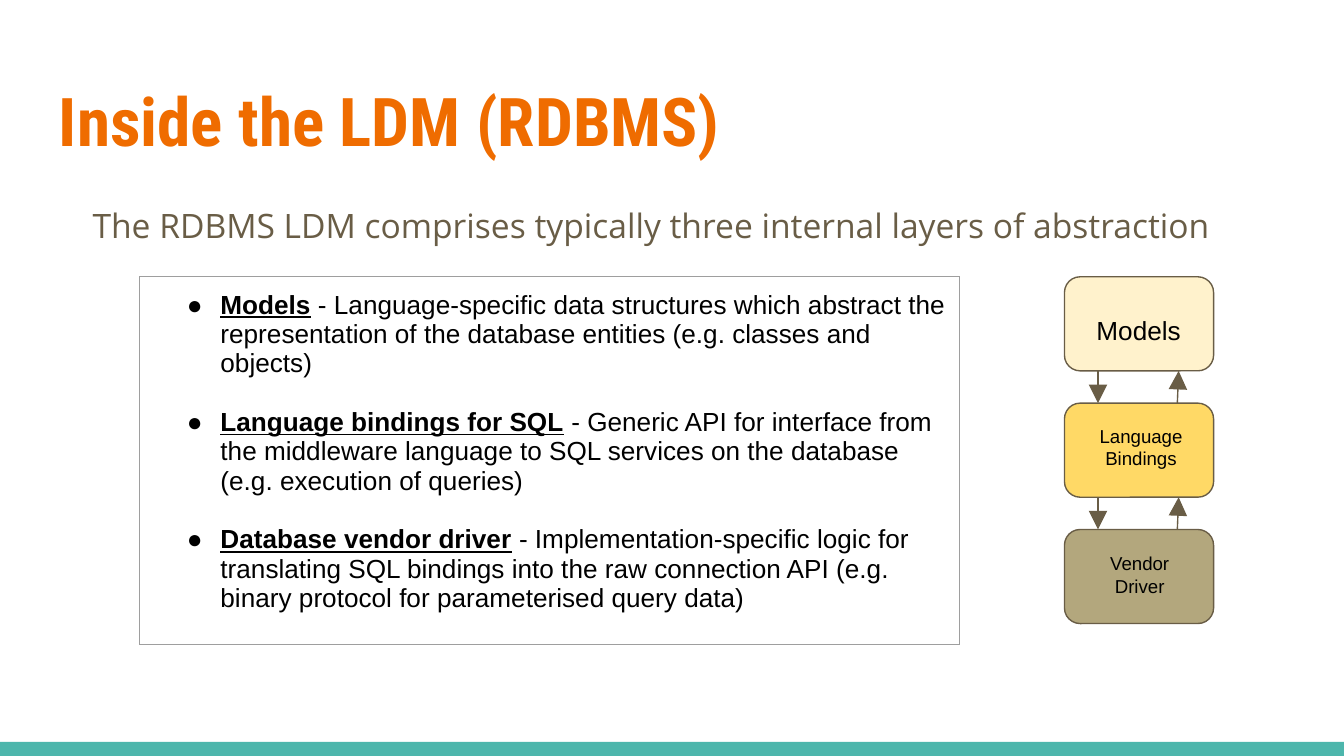
from lxml import etree
from pptx import Presentation
from pptx.dml.color import RGBColor
from pptx.enum import shapes, text
from pptx.oxml import ns
from pptx.util import Inches, Pt

ORANGE = RGBColor(0xEF, 0x6C, 0x00)
TEAL = RGBColor(0x4D, 0xB6, 0xAC)
BROWN = RGBColor(0x69, 0x5D, 0x46)
GREY = RGBColor(0x9E, 0x9E, 0x9E)
BLACK = RGBColor(0, 0, 0)
CREAM = RGBColor(0xFF, 0xF2, 0xCC)
YELLOW = RGBColor(0xFF, 0xD9, 0x66)
KHAKI = RGBColor(0xB3, 0xA7, 0x7D)

DEFINITIONS = [
    ("Models", " - Language-specific data structures which abstract the "
     "representation of the database entities (e.g. classes and objects)"),
    ("Language bindings for SQL", " - Generic API for interface from the middleware "
     "language to SQL services on the database (e.g. execution of queries)"),
    ("Database vendor driver", " - Implementation-specific logic for translating SQL "
     "bindings into the raw connection API (e.g. binary protocol for parameterised "
     "query data)"),
]
LAYERS = [
    ("Models", CREAM, 14, text.PP_ALIGN.LEFT, 8.06, 0.18, 0.34),
    ("Language Bindings", YELLOW, 10, text.PP_ALIGN.CENTER, 8.06, 0.06, 0.54),
    ("Vendor Driver", KHAKI, 10, text.PP_ALIGN.CENTER, 8.05, 0.07, 0.54),
]
LAYER_LEFT, LAYER_TOP, LAYER_WIDTH, LAYER_HEIGHT = 7.92, 2.06, 1.11, 0.7
LAYER_PITCH = 0.94


def child(parent, tag, **attributes):
    return etree.SubElement(parent, ns.qn(tag), attributes)


def style_run(run, size, font, color, bold=False, underline=False):
    run.font.size = Pt(size)
    run.font.name = font
    run.font.color.rgb = color
    run.font.bold = bold
    run.font.underline = underline


def set_margins(holder):
    holder.margin_left = holder.margin_right = Inches(0.1)
    holder.margin_top = holder.margin_bottom = Inches(0.1)


def hang(paragraph):
    properties = paragraph._p.get_or_add_pPr()
    properties.set("marL", str(Inches(0.5)))
    properties.set("indent", str(Inches(-0.25)))
    return properties


def add_label(slide, wording, box, size, font, color, bold=False):
    label = slide.shapes.add_textbox(*map(Inches, box)).text_frame
    label.word_wrap = True
    set_margins(label)
    label.text = wording
    style_run(label.paragraphs[0].runs[0], size, font, color, bold)
    return label.paragraphs[0]


def add_block(slide, kind, box, fill, outline=None):
    block = slide.shapes.add_shape(kind, *map(Inches, box))
    block.shadow.inherit = False
    block.fill.solid()
    block.fill.fore_color.rgb = fill
    if outline is None:
        block.line.fill.background()
    else:
        block.line.color.rgb = outline
        block.line.width = Pt(0.75)


def add_arrow(slide, start, end):
    arrow = slide.shapes.add_connector(
        shapes.MSO_CONNECTOR.STRAIGHT, *map(Inches, start + end))
    arrow.line.color.rgb = BROWN
    arrow.line.width = Pt(0.75)
    child(arrow.line._get_or_add_ln(), "a:tailEnd", type="triangle", w="lg", len="lg")
    child(arrow._element.spPr, "a:effectLst")


def add_borders(cell):
    properties = cell._tc.get_or_add_tcPr()
    for position, side in enumerate(("a:lnL", "a:lnR", "a:lnT", "a:lnB")):
        border = etree.Element(ns.qn(side), w=str(Pt(0.75)))
        child(child(border, "a:solidFill"), "a:srgbClr", val=str(GREY))
        properties.insert(position, border)


def add_definitions(slide):
    table = slide.shapes.add_table(
        1, 1, Inches(1.04), Inches(2.06), Inches(6.1), Inches(0.42)).table
    table.first_row = table.horz_banding = False
    cell = table.cell(0, 0)
    cell.fill.background()
    set_margins(cell)
    add_borders(cell)
    for index, (term, meaning) in enumerate(DEFINITIONS):
        frame = cell.text_frame
        paragraph = frame.add_paragraph() if index else frame.paragraphs[0]
        if index:
            paragraph.space_before = Pt(15.7)
        properties = hang(paragraph)
        child(properties, "a:buFont", typeface="Arial")
        child(properties, "a:buChar", char="●")
        for wording, strong in ((term, True), (meaning, False)):
            run = paragraph.add_run()
            run.text = wording
            style_run(run, 14, "Arial", BLACK, bold=strong, underline=strong)


def add_layers(slide):
    tops = [LAYER_TOP + LAYER_PITCH * row for row in range(len(LAYERS))]
    for top, (_, fill, *_) in zip(tops, LAYERS):
        add_block(slide, shapes.MSO_SHAPE.ROUNDED_RECTANGLE,
                  (LAYER_LEFT, top, LAYER_WIDTH, LAYER_HEIGHT), fill, BROWN)
    for upper, lower in zip(tops, tops[1:]):
        bottom = upper + LAYER_HEIGHT
        add_arrow(slide, (8.17, bottom), (8.17, lower))
        add_arrow(slide, (8.76, lower), (8.77, bottom))
    for top, (name, _, size, align, left, drop, height) in zip(tops, LAYERS):
        label = add_label(slide, name, (left, top + drop, 0.86, height),
                          size, "Arial", BLACK)
        label.alignment = align


def main():
    deck = Presentation()
    deck.slide_width = Inches(10)
    deck.slide_height = deck.slide_width * 9 // 16
    slide = deck.slides.add_slide(deck.slide_layouts[6])
    add_block(slide, shapes.MSO_SHAPE.RECTANGLE, (0, 5.52, 10, 0.11), TEAL)
    add_label(slide, "Inside the LDM (RDBMS)", (0.34, 0.49, 9.32, 0.77),
              36, "Roboto Condensed", ORANGE, bold=True)
    summary = add_label(
        slide, "The RDBMS LDM comprises typically three internal layers of abstraction",
        (0.34, 1.38, 9.32, 3.61), 18, "Open Sans", BROWN)
    hang(summary)
    summary.line_spacing = 1.15
    add_definitions(slide)
    add_layers(slide)
    deck.save("out.pptx")


if __name__ == "__main__":
    main()
